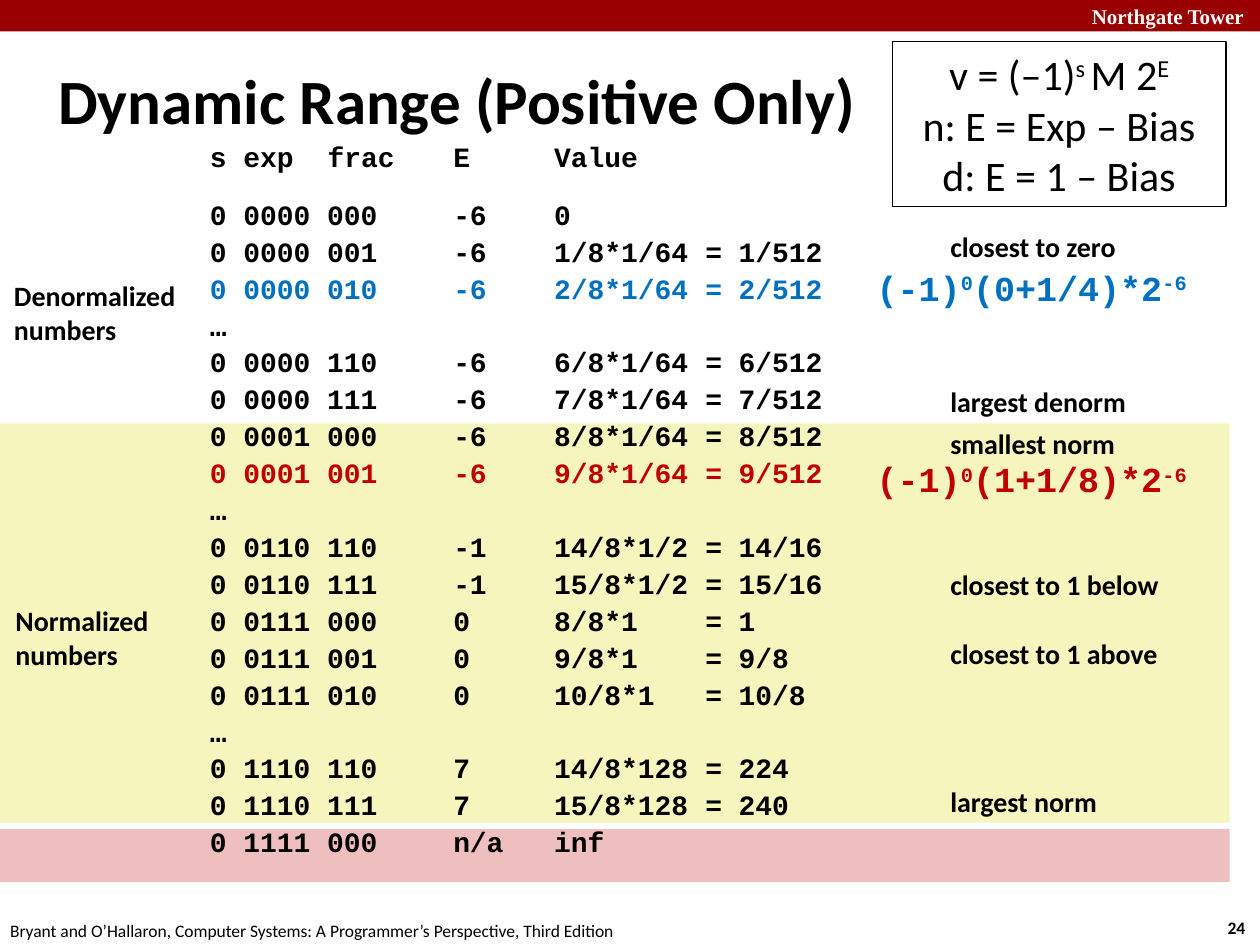
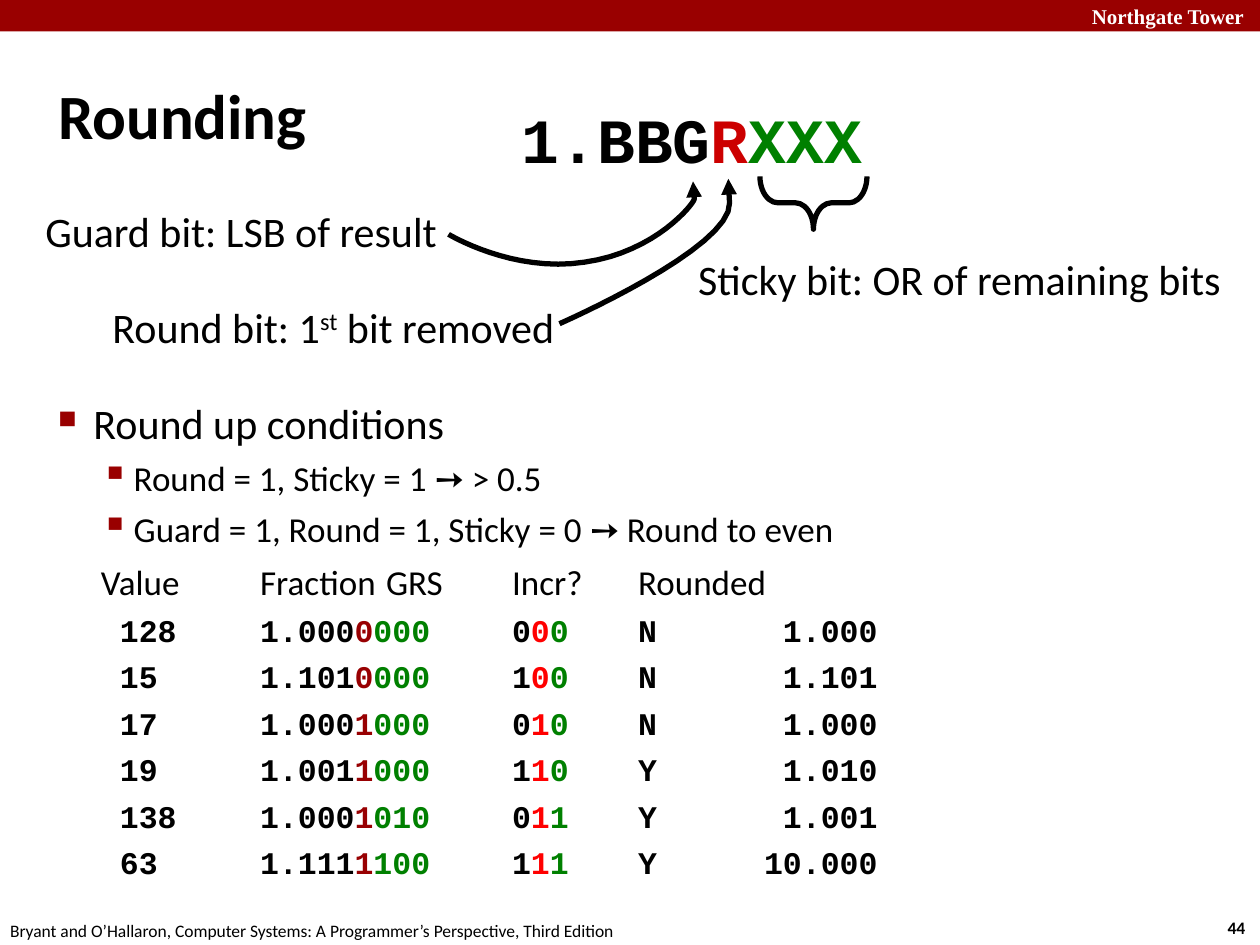
"""Build two slides on floating point: dynamic range and rounding."""
from lxml import etree
from pptx import Presentation
from pptx import util as u
from pptx.dml import color as dml
from pptx.enum import shapes, text
from pptx.oxml import ns

Pt = u.Pt
COLORS = {
    "black": "000000", "white": "FFFFFF", "band": "990000",
    "infinite": "EFBFBF", "normalized": "F6F5BD",
    "blue": "0070C0", "red": "C00000", "round": "CC0000",
    "sticky": "008000", "dropped": "980002", "bright": "FF0000",
}
SANS, MONO, SERIF = "Calibri", "Courier New", "Times New Roman"
LEFT, CENTER, RIGHT = text.PP_ALIGN.LEFT, text.PP_ALIGN.CENTER, text.PP_ALIGN.RIGHT
TIGHT, NORMAL, NONE = (3, 3), (7.2, 3.6), (0, 0)
SUPER = {"raised": 30}


def rgb(name):
    """Return the named colour."""
    return dml.RGBColor.from_string(COLORS[name])


def add_xml(parent, tag, **attributes):
    """Append a drawing element with attributes."""
    return etree.SubElement(parent, ns.qn(tag), attributes)


def bezier(points, steps=16):
    """Sample a chain of cubic curves as straight steps."""
    samples = [points[0]]
    for first in range(0, len(points) - 1, 3):
        controls = points[first:first + 4]
        for step in range(1, steps + 1):
            t = step / steps
            weights = ((1 - t) ** 3, 3 * t * (1 - t) ** 2, 3 * t * t * (1 - t), t ** 3)
            samples.append(tuple(
                sum(w * point[axis] for w, point in zip(weights, controls))
                for axis in (0, 1)))
    return samples


class Deck:
    """Hold the shared style and the current slide."""

    def __init__(self):
        """Start an empty presentation of 10 by 7.5 inches."""
        self.presentation = Presentation()
        self.presentation.slide_width = Pt(720)
        self.presentation.slide_height = Pt(540)
        self.slide = None

    def add_slide(self, number):
        """Add a slide with the top band and footer."""
        self.slide = self.presentation.slides.add_slide(self.presentation.slide_layouts[6])
        self.text((693.2, 520.5, 26.6, 19.4), [number], 10, bold=True, align=CENTER, insets=NORMAL)
        self.text((-4.9, 522, 366, 19.4),
                  ["Bryant and O’Hallaron, Computer Systems: A Programmer’s Perspective, Third Edition"],
                  10, align=CENTER, insets=NORMAL)
        self.band((0, 0, 720, 18), "band")
        self.text((568, -1.4, 150, 21.6), ["Northgate Tower"], 12, font=SERIF,
                  color="white", bold=True, align=RIGHT, insets=NORMAL)

    def title(self, wording, height):
        """Add the slide title."""
        frame = self.text((30.2, 20.2, 660, height), [wording], 36, bold=True)
        frame.vertical_anchor = text.MSO_ANCHOR.MIDDLE

    def shape(self, kind, box):
        """Add a preset shape without shadow, fill or line."""
        shape = self.slide.shapes.add_shape(kind, *map(Pt, box))
        shape.shadow.inherit = False
        shape.fill.background()
        shape.line.fill.background()
        return shape

    def band(self, box, color):
        """Add a filled rectangle."""
        shape = self.shape(shapes.MSO_SHAPE.RECTANGLE, box)
        shape.fill.solid()
        shape.fill.fore_color.rgb = rgb(color)

    def outline(self, shape, width):
        """Give a shape a black line."""
        shape.line.color.rgb = rgb("black")
        shape.line.width = Pt(width)

    def framed(self, box, paragraphs, size):
        """Add a centred text in a thin frame."""
        shape = self.shape(shapes.MSO_SHAPE.RECTANGLE, box)
        self.outline(shape, 0.75)
        self.fill_text(shape.text_frame, paragraphs, size, align=CENTER, insets=NORMAL, wrap=True)

    def brace(self, box):
        """Add a brace that points down."""
        left, top, width, height = box
        upright = (left + (width - height) / 2, top + (height - width) / 2, height, width)
        shape = self.shape(shapes.MSO_SHAPE.RIGHT_BRACE, upright)
        shape.rotation = 90
        shape.adjustments[0] = 0.34
        self.outline(shape, 3)

    def curve(self, points):
        """Add a curved arrow."""
        start, *rest = [(Pt(x), Pt(y)) for x, y in bezier(points)]
        builder = self.slide.shapes.build_freeform(*start)
        builder.add_line_segments(rest, close=False)
        shape = builder.convert_to_shape()
        shape.shadow.inherit = False
        shape.fill.background()
        self.outline(shape, 3)
        add_xml(shape.line._get_or_add_ln(), "a:tailEnd", type="triangle")

    def text(self, box, paragraphs, size, **style):
        """Add a text box and return its frame."""
        frame = self.slide.shapes.add_textbox(*map(Pt, box)).text_frame
        self.fill_text(frame, paragraphs, size, **style)
        return frame

    def fill_text(self, frame, paragraphs, size, font=SANS, color="black", bold=False,
                  align=LEFT, insets=TIGHT, wrap=False):
        """Write paragraphs, each one a string or a list of runs."""
        frame.word_wrap = wrap
        frame.vertical_anchor = text.MSO_ANCHOR.TOP if insets != NORMAL else text.MSO_ANCHOR.MIDDLE
        frame.margin_left = frame.margin_right = Pt(insets[0])
        frame.margin_top = frame.margin_bottom = Pt(insets[1])
        base = {"size": size, "font": font, "color": color, "bold": bold}
        for index, runs in enumerate(paragraphs):
            paragraph = frame.add_paragraph() if index else frame.paragraphs[0]
            paragraph.alignment = align
            for run in [runs] if isinstance(runs, str) else runs:
                wording, changes = (run, {}) if isinstance(run, str) else run
                self.run(paragraph, wording, **{**base, **changes})

    def run(self, paragraph, wording, size, font, color, bold, raised=0):
        """Add one run."""
        run = paragraph.add_run()
        run.text = wording
        run.font.size = Pt(size)
        run.font.name = font
        run.font.bold = bold
        run.font.color.rgb = rgb(color)
        if raised:
            run._r.get_or_add_rPr().set("baseline", str(raised * 1000))

    def bullet(self, paragraph, left, hanging, before, character, percent):
        """Set the indents, space before and bullet."""
        paragraph.space_before = Pt(before)
        properties = paragraph._p.get_or_add_pPr()
        properties.set("marL", str(Pt(left)))
        properties.set("indent", str(-Pt(hanging)))
        fill = add_xml(properties, "a:buClr")
        add_xml(fill, "a:srgbClr", val=COLORS["band"])
        add_xml(properties, "a:buSzPct", val=str(percent * 1000))
        add_xml(properties, "a:buChar", char=character)

    def tabs(self, paragraph, stops):
        """Set left tab stops."""
        tab_list = add_xml(paragraph._p.get_or_add_pPr(), "a:tabLst")
        for stop in stops:
            add_xml(tab_list, "a:tab", pos=str(Pt(stop)), algn="l")


def dynamic_range(deck):
    """Build the slide on the dynamic range."""
    deck.add_slide("24")
    deck.band((0, 473.8, 702.7, 30.2), "infinite")
    deck.band((0, 242, 702.7, 228.2), "normalized")
    rows = [
        "s exp\tfrac\tE\tValue",
        "0 0000 000\t-6\t0",
        "0 0000 001\t-6\t1/8*1/64\t= 1/512",
        [("0 0000 010\t-6\t2/8*1/64\t= 2/512", {"color": "blue"})],
        "…",
        "0 0000 110\t-6\t6/8*1/64\t= 6/512",
        "0 0000 111\t-6\t7/8*1/64\t= 7/512",
        "0 0001 000\t-6\t8/8*1/64\t= 8/512",
        [("0 0001 001\t-6\t9/8*1/64\t= 9/512", {"color": "red"})],
        "…",
        "0 0110 110\t-1\t14/8*1/2\t= 14/16",
        "0 0110 111\t-1\t15/8*1/2\t= 15/16",
        "0 0111 000\t0\t8/8*1\t= 1",
        "0 0111 001\t0\t9/8*1\t= 9/8",
        "0 0111 010\t0\t10/8*1\t= 10/8",
        "…",
        "0 1110 110\t7\t14/8*128\t= 224",
        "0 1110 111\t7\t15/8*128\t= 240",
        "0 1111 000\tn/a\tinf",
    ]
    frame = deck.text((120, 77.8, 365.8, 437.8), rows, 16, font=MONO, bold=True,
                      insets=NONE, wrap=True)
    for index, paragraph in enumerate(frame.paragraphs):
        paragraph.line_spacing = 1.1
        paragraph.space_before = Pt(12 if index == 1 else 0)
        deck.tabs(paragraph, (67.2, 139, 196.6, 283))
    deck.title("Dynamic Range (Positive Only)", 72.7)
    remarks = {"closest to zero": 128.2, "largest denorm": 216.7, "smallest norm": 240.5,
               "closest to 1 below": 321.1, "closest to 1 above": 360.7, "largest norm": 445}
    for remark, top in remarks.items():
        deck.text((540, top, 146, 25.2), [remark], 16, bold=True)
    for kind, left, top in (("Denormalized", 5, 156.2), ("Normalized", 5.8, 342)):
        deck.text((left, top, 111.6, 44.6), [kind, "numbers"], 16, bold=True)
    high = {"raised": 32}
    deck.framed((509.8, 23.8, 190.8, 94.3),
                [["v = (–1)", ("s ", high), "M 2", ("E", high)],
                 "n: E = Exp – Bias", "d: E = 1 – Bias"], 24)
    for fraction, top, color in (("(0+1/4)*2", 148.3, "blue"), ("(1+1/8)*2", 257.8, "red")):
        deck.text((493.9, top, 196.6, 31.7), [["(-1)", ("0", SUPER), fraction, ("-6", SUPER)]],
                  20, font=MONO, color=color, bold=True, insets=NORMAL)


def rounding_row(value, fraction, bits, up, rounded):
    """Return the runs of one row, coloured by the role of each bit."""
    parts = ((f" {value}\t{fraction[:5]}", "black"), (fraction[5], "dropped"),
             (fraction[6:] + "\t", "sticky"), (bits[0], "black"), (bits[1], "bright"),
             (bits[2] + "\t", "sticky"), (f"{up}\t{rounded:>6}", "black"))
    return [(part, {"color": color, "size": 18, "font": MONO, "bold": True})
            for part, color in parts]


def rounding(deck):
    """Build the slide on rounding."""
    deck.add_slide("44")
    deck.title("Rounding", 90)
    conditions = deck.text(
        (30.2, 224, 660, 92),
        [[("Round up conditions", {"size": 24})],
         "Round = 1, Sticky = 1 ➙ > 0.5",
         "Guard = 1, Round = 1, Sticky = 0 ➙ Round to even"], 20, wrap=True)
    heading, *details = conditions.paragraphs
    deck.bullet(heading, 20.2, 20.2, 6, "■", 60)
    for paragraph in details:
        deck.bullet(paragraph, 43.2, 18.7, 5, "▪", 110)
    rows = [
        ("128", "1.0000000", "000", "N", "1.000"),
        ("15", "1.1010000", "100", "N", "1.101"),
        ("17", "1.0001000", "010", "N", "1.000"),
        ("19", "1.0011000", "110", "Y", "1.010"),
        ("138", "1.0001010", "011", "Y", "1.001"),
        ("63", "1.1111100", "111", "Y", "10.000"),
    ]
    examples = deck.text(
        (54.7, 317, 635, 190),
        ["Value\tFraction\tGRS\tIncr?\tRounded"] + [rounding_row(*row) for row in rows],
        20, wrap=True)
    for index, paragraph in enumerate(examples.paragraphs):
        paragraph.space_before = Pt(5 if index else 0)
        deck.tabs(paragraph, [90.9 + 72 * column for column in range(5)])
    deck.text((294.2, 54.7, 202.3, 49.7),
              [["1.BBG", ("R", {"color": "round"}), ("XXX", {"color": "sticky"})]],
              36, font=MONO, bold=True, align=CENTER)
    deck.text((11.5, 114.5, 241.2, 35.3), ["Guard bit: LSB of result"], 24, align=RIGHT, wrap=True)
    deck.text((52.6, 169.2, 267.1, 35.3),
              [["Round bit: 1", ("st", SUPER), " bit removed"]], 24, align=RIGHT)
    deck.brace((434.2, 100.8, 61.2, 30.2))
    deck.text((396, 141.8, 313.9, 35.3), ["Sticky bit: OR of remaining bits"], 24)
    deck.curve([(319.7, 185), (319.7, 185), (418.3, 141.8), (416.9, 115.9),
                (416.5, 109), (416.2, 104), (416.2, 102.2)])
    deck.curve([(256.3, 133.9), (256.3, 133.9), (293, 156.2), (334.1, 149.8),
                (375.1, 144), (396.7, 115.9), (396.7, 113.8),
                (396.7, 112.3), (396, 103.7), (396, 103.7)])


def main():
    """Build and save the presentation."""
    deck = Deck()
    dynamic_range(deck)
    rounding(deck)
    deck.presentation.save("out.pptx")


if __name__ == "__main__":
    main()
